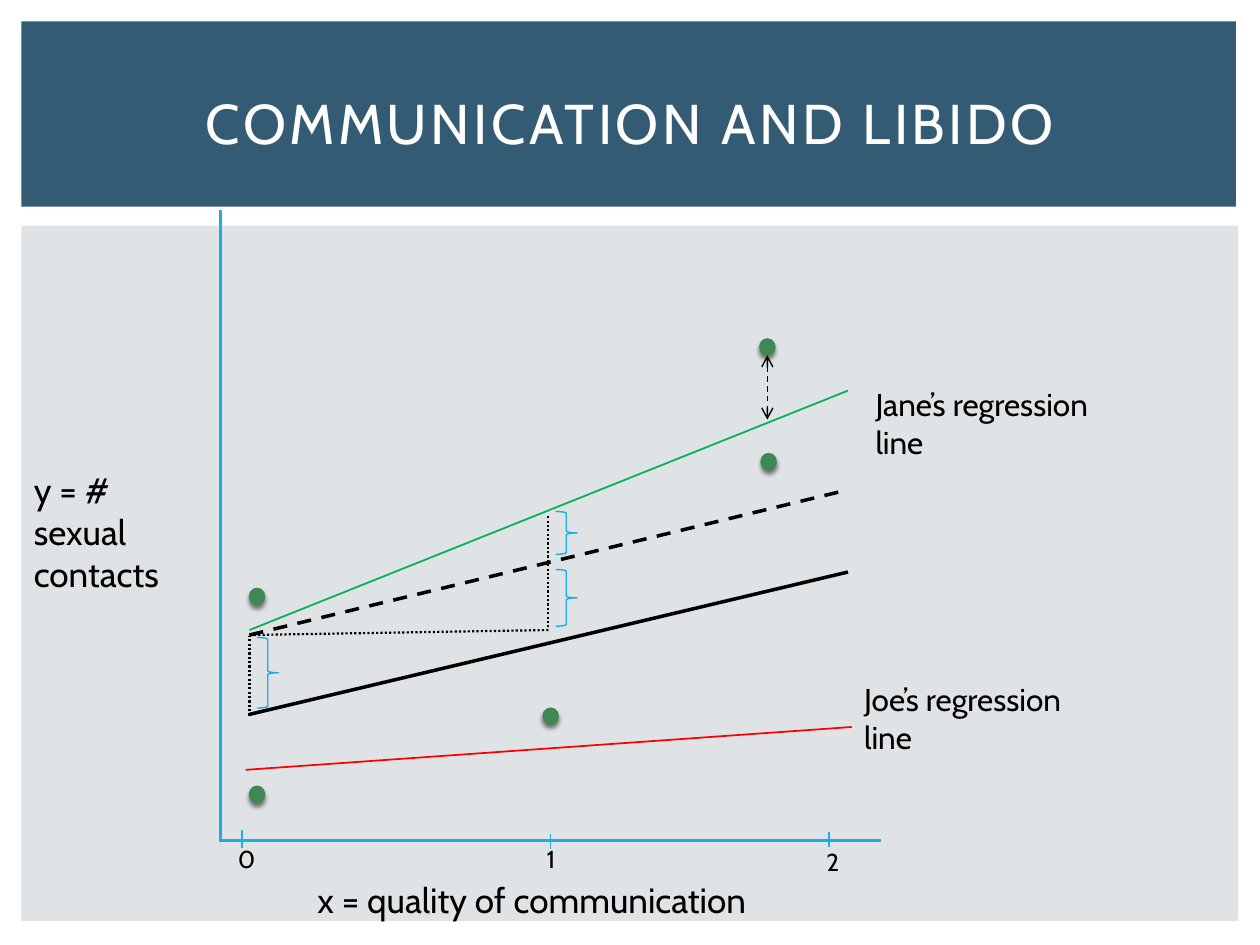
import pptx
import pptx.util
import pptx.dml.color
import pptx.enum.dml
import pptx.enum.shapes
import pptx.enum.text
import pptx.oxml
import pptx.oxml.ns

Inches = pptx.util.Inches
SHAPE = pptx.enum.shapes.MSO_SHAPE
DASH = pptx.enum.dml.MSO_LINE
COLORS = {"panel": "DFE3E5", "banner": "335B74", "axis": "1CADE4", "jane": "00B050",
          "joe": "FF0000", "dot": "3E8853", "ink": "000000", "white": "FFFFFF"}
SHADOW = ('<a:effectLst %s><a:outerShdw blurRad="31750" dist="25400" dir="5400000" rotWithShape="0">'
          '<a:srgbClr val="000000"><a:alpha val="50000"/></a:srgbClr></a:outerShdw></a:effectLst>'
          % pptx.oxml.ns.nsdecls("a"))


class Deck:
    """Holds the style and the current slide, and draws each kind of element."""

    def __init__(self, font):
        self.font = font
        self.prs = pptx.Presentation()
        self.prs.slide_width, self.prs.slide_height = Inches(10), Inches(7.5)
        self.s = self.prs.slides.add_slide(self.prs.slide_layouts[6])

    def rgb(self, name):
        return pptx.dml.color.RGBColor.from_string(COLORS[name])

    def shape(self, kind, box, fill=None, line=None):
        sp = self.s.shapes.add_shape(kind, *map(Inches, box))
        sp.shadow.inherit = False
        if fill:
            sp.fill.solid()
            sp.fill.fore_color.rgb = self.rgb(fill)
        else:
            sp.fill.background()
        if line:
            sp.line.color.rgb = self.rgb(line)
            sp.line.width = pptx.util.Pt(0.79)
        else:
            sp.line.fill.background()
        return sp

    def dot(self, left, top):
        sp = self.shape(SHAPE.OVAL, (left, top, 0.12, 0.13), "dot", "dot")
        props = sp._element.spPr
        props.remove(props.find(pptx.oxml.ns.qn("a:effectLst")))
        props.append(pptx.oxml.parse_xml(SHADOW))

    def line(self, start, end, color, width, dash=None, arrows=False):
        cx = self.s.shapes.add_connector(pptx.enum.shapes.MSO_CONNECTOR.STRAIGHT,
                                         *map(Inches, (*start, *end)))
        cx.line.color.rgb = self.rgb(color)
        cx.line.width = pptx.util.Pt(width)
        if dash:
            cx.line.dash_style = dash
        if arrows:
            ln = cx.line._get_or_add_ln()
            for tag in ("a:headEnd", "a:tailEnd"):
                end_mark = pptx.oxml.parse_xml("<%s %s/>" % (tag, pptx.oxml.ns.nsdecls("a")))
                end_mark.set("type", "arrow")
                ln.append(end_mark)
        cx._element.spPr.append(pptx.oxml.parse_xml("<a:effectLst %s/>" % pptx.oxml.ns.nsdecls("a")))

    def text(self, box, words, size, color="ink"):
        tf = self.s.shapes.add_textbox(*map(Inches, box)).text_frame
        tf.word_wrap = True
        tf.auto_size = pptx.enum.text.MSO_AUTO_SIZE.SHAPE_TO_FIT_TEXT
        r = tf.paragraphs[0].add_run()
        r.text = words
        r.font.name, r.font.size = self.font, pptx.util.Pt(size)
        r.font.color.rgb = self.rgb(color)
        return tf

    def title(self, box, words):
        tf = self.text(box, words, 32, "white")
        tf.auto_size = pptx.enum.text.MSO_AUTO_SIZE.NONE
        tf.vertical_anchor = pptx.enum.text.MSO_ANCHOR.MIDDLE
        p = tf.paragraphs[0]
        p.alignment = pptx.enum.text.PP_ALIGN.CENTER
        p.runs[0].font._element.set("spc", "200")


def main():
    deck = Deck("Cabin")
    deck.shape(SHAPE.RECTANGLE, (0.17, 1.79, 9.66, 5.52), "panel")
    deck.shape(SHAPE.RECTANGLE, (0.17, 0.17, 9.64, 1.47), "banner")
    deck.title((0.42, 0.39, 9.17, 1.15), "COMMUNICATION AND LIBIDO")

    deck.line((1.75, 1.67), (1.75, 6.67), "axis", 2)
    deck.line((6.99, 6.67), (1.74, 6.67), "axis", 2)
    deck.line((1.98, 5), (6.73, 3.1), "jane", 1)
    deck.line((1.95, 6.11), (6.76, 5.77), "joe", 1)
    deck.text((6.85, 3.01, 2.08, 0.4), "Jane’s regression line", 18)
    deck.text((6.76, 5.35, 2.08, 0.4), "Joe’s regression line", 18)

    for left, top in ((6.03, 2.69), (1.98, 6.24), (4.31, 5.62), (6.04, 3.6), (1.98, 4.67)):
        deck.dot(left, top)

    deck.text((0.17, 3.67, 1.5, 0.77), "y = # sexual contacts", 20)
    deck.text((2.42, 6.92, 5.2, 0.44), "x = quality of communication", 20)
    for label, x, top, bottom, left, label_top in (("0", 1.92, 6.59, 6.73, 1.79, 6.65),
                                                   ("1", 4.37, 6.62, 6.74, 4.24, 6.65),
                                                   ("2", 6.58, 6.6, 6.72, 6.46, 6.67)):
        deck.line((x, top), (x, bottom), "axis", 0.79)
        deck.text((left, label_top, 0.25, 0.34), label, 14)

    deck.line((1.98, 5.67), (6.73, 4.54), "ink", 2)
    deck.line((1.98, 5.04), (6.72, 3.89), "ink", 2, DASH.DASH)
    for start, end in (((1.98, 5.04), (4.37, 5)), ((4.35, 4.98), (4.35, 4.09)),
                       ((1.98, 5.68), (1.98, 5.05))):
        deck.line(start, end, "ink", 1.25, DASH.ROUND_DOT)
    for left, top, height in ((4.41, 4.06, 0.34), (4.41, 4.52, 0.45), (2.04, 5.06, 0.56)):
        deck.shape(SHAPE.RIGHT_BRACE, (left, top, 0.17, height), line="axis")
    deck.line((6.09, 2.82), (6.09, 3.33), "ink", 0.79, DASH.DASH, arrows=True)

    deck.prs.save("out.pptx")


if __name__ == "__main__":
    main()
